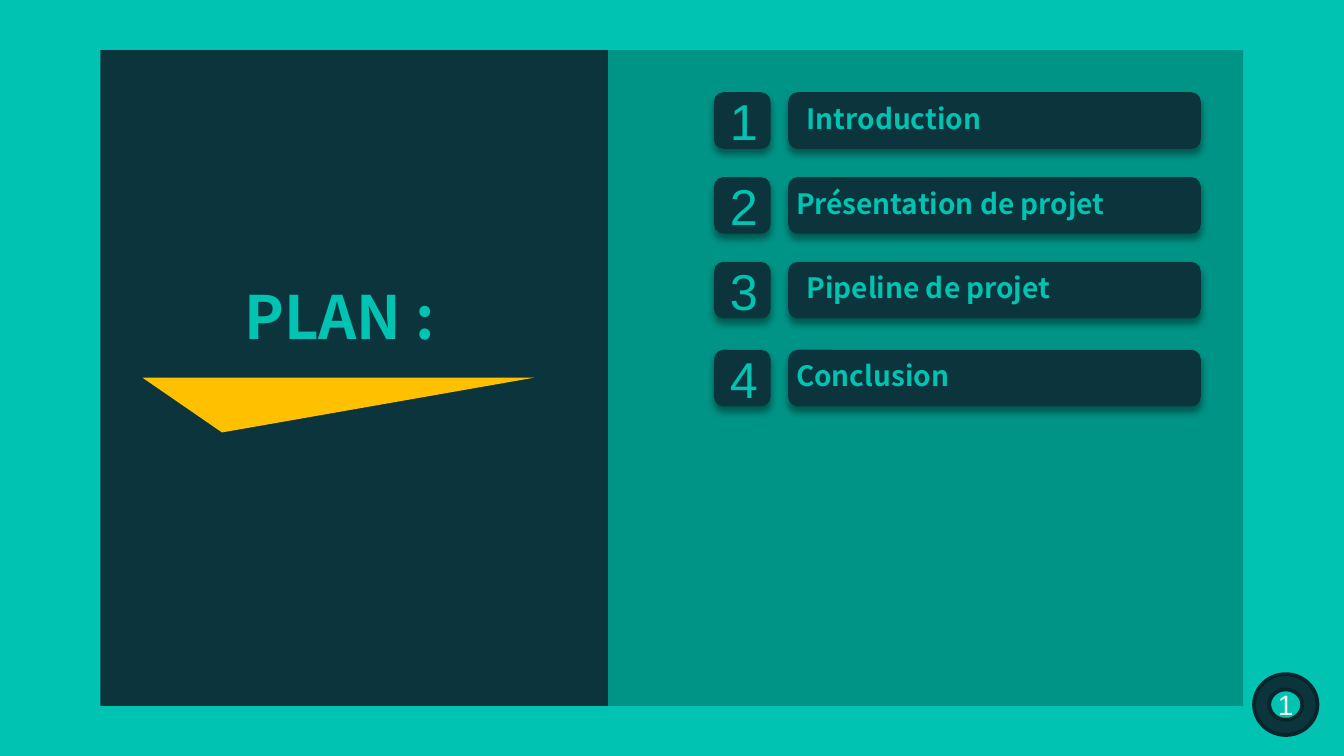
"""Build the plan slide: a title panel beside a numbered agenda."""
from lxml import etree
from pptx import Presentation
from pptx.dml.color import RGBColor
from pptx.enum.shapes import MSO_SHAPE
from pptx.enum.text import MSO_ANCHOR, PP_ALIGN
from pptx.oxml.ns import qn
from pptx.util import Pt

RECT, ROUNDED, DONUT = MSO_SHAPE.RECTANGLE, MSO_SHAPE.ROUNDED_RECTANGLE, MSO_SHAPE.DONUT
CENTER, LEFT = PP_ALIGN.CENTER, PP_ALIGN.LEFT
TOP, MIDDLE = MSO_ANCHOR.TOP, MSO_ANCHOR.MIDDLE

TEAL, DEEP_TEAL, NAVY, GOLD = "00C3B1", "009284", "0C343D", "FFC000"
RING, PALE = "08252C", "F3F3F3"
HEADING, PLAIN = "Noto Sans CJK SC", "Arial"

TITLE = "PLAN :"
AGENDA = [
    ("Introduction", 49.4, 422.6),
    ("Présentation de projet", 94.9, 416.9),
    ("Pipeline de projet", 140.3, 422.6),
    ("Conclusion", 187.4, 416.9),
]
PAGE_NUMBER = "1"
UNDERLINE = [(76.4, 202.4), (119, 231.7), (286, 202.4)]
PANEL_TOP, PANEL_HEIGHT = 26.8, 351.4
TILE, TILE_LEFT, BAR_LEFT, BAR_WIDTH = 30.3, 382.5, 422.3, 221


def color(value):
    return RGBColor.from_string(value)


def paint(shape, fill):
    shape.shadow.inherit = False
    shape.fill.solid()
    shape.fill.fore_color.rgb = color(fill)
    shape.line.fill.background()
    return shape


def add_panel(page, kind, left, top, width, height, fill):
    return paint(page.shapes.add_shape(kind, Pt(left), Pt(top), Pt(width), Pt(height)), fill)


def write(shape, text, size, font, ink, align=CENTER, anchor=MIDDLE, bold=False, inset=(7.2, 3.6)):
    frame = shape.text_frame
    frame.word_wrap = True
    frame.vertical_anchor = anchor
    frame.margin_left = frame.margin_right = Pt(inset[0])
    frame.margin_top = frame.margin_bottom = Pt(inset[1])
    frame.text = text
    para = frame.paragraphs[0]
    para.alignment = align
    span = para.runs[0].font
    span.size, span.name, span.bold = Pt(size), font, bold
    span.color.rgb = color(ink)


def add_alpha(color_element, percent):
    etree.SubElement(color_element, qn("a:alpha"), val=str(percent * 1000))


def add_shadow(shape):
    effects = shape.element.spPr.find(qn("a:effectLst"))
    shadow = etree.SubElement(effects, qn("a:outerShdw"), blurRad=str(Pt(4)), dist=str(Pt(3)),
                              dir="5400000", algn="bl", rotWithShape="0")
    add_alpha(etree.SubElement(shadow, qn("a:srgbClr"), val="000000"), 40)


def add_tile(page, left, top, width):
    tile = add_panel(page, ROUNDED, left, top, width, TILE, NAVY)
    tile.adjustments[0] = 0.167
    add_shadow(tile)
    return tile


def add_agenda_row(page, number, label, top, label_left):
    write(add_tile(page, TILE_LEFT, top, TILE), str(number), 27, PLAIN, TEAL)
    add_tile(page, BAR_LEFT, top, BAR_WIDTH)
    box = page.shapes.add_textbox(Pt(label_left), Pt(top), Pt(BAR_WIDTH), Pt(28))
    write(box, label, 15, HEADING, TEAL, LEFT, TOP, True, (9.6, 4.8))


def main():
    deck = Presentation()
    deck.slide_width, deck.slide_height = Pt(720), Pt(405)
    page = deck.slides.add_slide(deck.slide_layouts[6])
    page.background.fill.solid()
    page.background.fill.fore_color.rgb = color(TEAL)

    add_panel(page, RECT, 53.8, PANEL_TOP, 272, PANEL_HEIGHT, NAVY)
    title = page.shapes.add_textbox(Pt(82.3), Pt(146.2), Pt(199.4), Pt(46))
    write(title, TITLE, 32, HEADING, TEAL, anchor=TOP, bold=True)

    points = [(Pt(x), Pt(y)) for x, y in UNDERLINE]
    outline = page.shapes.build_freeform(*points[0])
    outline.add_line_segments(points[1:], close=True)
    paint(outline.convert_to_shape(), GOLD)

    agenda_panel = add_panel(page, RECT, 325.8, PANEL_TOP, 340.2, PANEL_HEIGHT, DEEP_TEAL)
    fill = agenda_panel.element.spPr.find(qn("a:solidFill"))
    add_alpha(fill.find(qn("a:srgbClr")), 94)

    for number, (label, top, label_left) in enumerate(AGENDA, 1):
        add_agenda_row(page, number, label, top, label_left)

    badge = add_panel(page, DONUT, 671.8, 361.2, 34, 32.6, NAVY)
    badge.adjustments[0] = 0.25
    badge.line.color.rgb = color(RING)
    badge.line.width = Pt(2)
    write(badge, PAGE_NUMBER, 15, PLAIN, PALE)

    deck.save("out.pptx")


if __name__ == "__main__":
    main()
